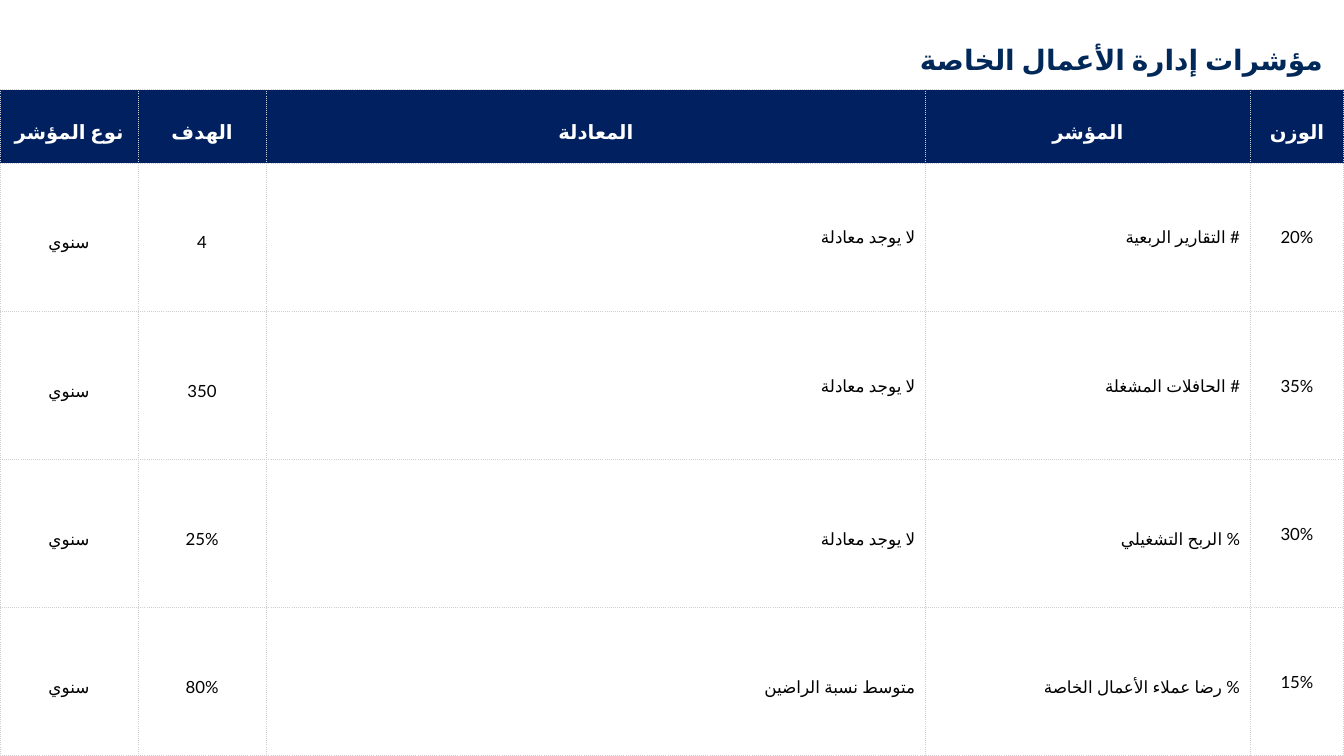
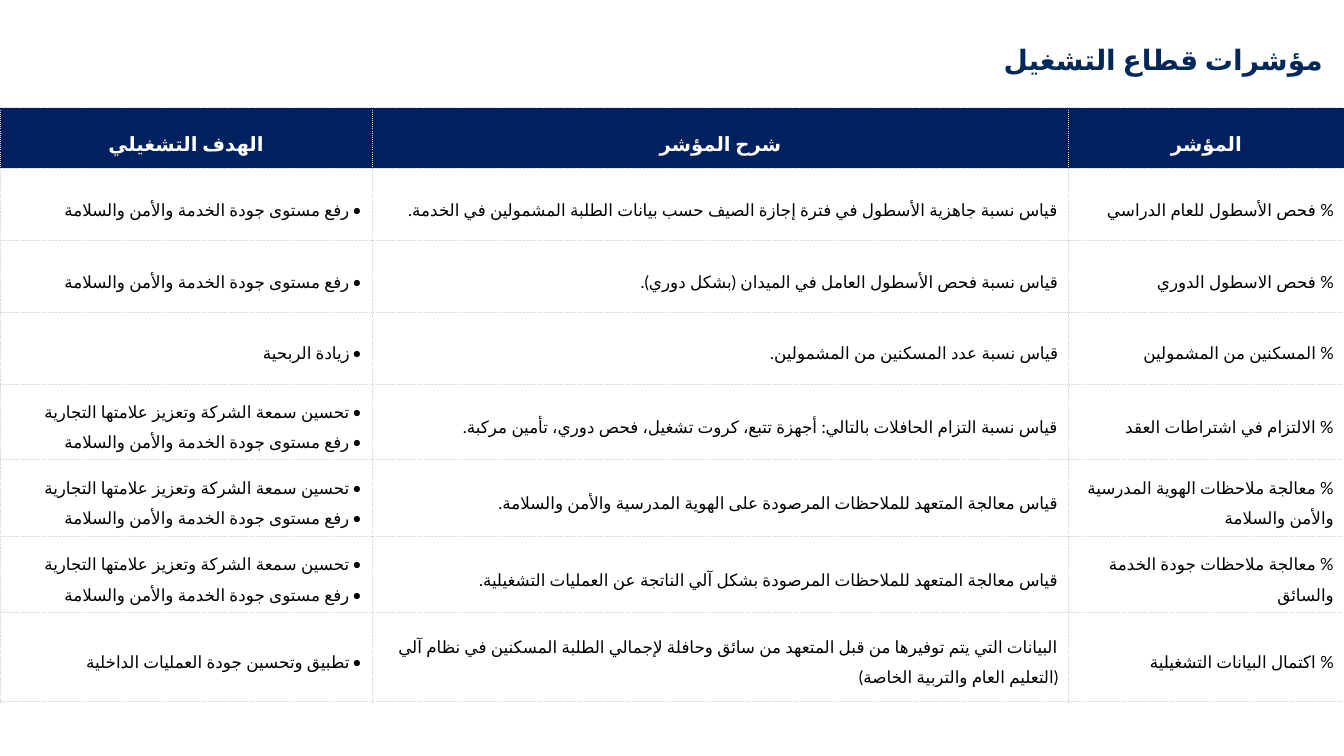
from lxml.etree import SubElement
from pptx import Presentation
from pptx.dml.color import RGBColor
from pptx.enum.lang import MSO_LANGUAGE_ID
from pptx.enum.text import MSO_ANCHOR, MSO_AUTO_SIZE, PP_ALIGN
from pptx.oxml.ns import qn
from pptx.util import Inches, Pt

COLORS = {
    "title": "002959",
    "header": "002060",
    "header_text": "FFFFFF",
    "text": "000000",
    "border": "D0CECE",
}
FONT = "Lato"
TITLE_BOX = (6.55, 0.23, 6.67, 0.56)
BULLET_INDENT = Inches(0.12)
CENTER, RIGHT, BULLET = "center", "right", "bullet"

SAFETY = "رفع مستوى جودة الخدمة والأمن والسلامة"
REPUTATION = "تحسين سمعة الشركة وتعزيز علامتها التجارية"
REPUTATION_AND_SAFETY = f"{REPUTATION}\n{SAFETY}"
ANNUAL = "سنوي"
NO_FORMULA = "لا يوجد معادلة"

BUSINESS = {
    "title": "مؤشرات إدارة الأعمال الخاصة",
    "top": 0.89,
    "widths": [1.37, 1.27, 6.54, 3.22, 0.93],
    "heights": [0.73] + [1.47] * 4,
    "styles": [CENTER, CENTER, RIGHT, RIGHT, CENTER],
    "tight": {(1, 2), (1, 3), (2, 2), (2, 3), (1, 4), (2, 4), (3, 4), (4, 4)},
    "rows": [
        ["نوع المؤشر", "الهدف", "المعادلة", "المؤشر", "الوزن"],
        [ANNUAL, "4", NO_FORMULA, "# التقارير الربعية", "20%"],
        [ANNUAL, "350", NO_FORMULA, "# الحافلات المشغلة", "35%"],
        [ANNUAL, "25%", NO_FORMULA, "% الربح التشغيلي", "30%"],
        [ANNUAL, "80%", "متوسط نسبة الراضين", "% رضا عملاء الأعمال الخاصة", "15%"],
    ],
}

OPERATIONS = {
    "title": "مؤشرات قطاع التشغيل",
    "top": 1.07,
    "widths": [3.69, 6.91, 2.73],
    "heights": [0.6, 0.72, 0.71, 0.71, 0.75, 0.76, 0.76, 0.88],
    "styles": [BULLET, RIGHT, RIGHT],
    "tight": set(),
    "rows": [
        ["الهدف التشغيلي", "شرح المؤشر", "المؤشر"],
        [SAFETY,
         "قياس نسبة جاهزية الأسطول في فترة إجازة الصيف حسب بيانات الطلبة المشمولين في الخدمة.",
         "% فحص الأسطول للعام الدراسي"],
        [SAFETY,
         "قياس نسبة فحص الأسطول العامل في الميدان (بشكل دوري).",
         "% فحص الاسطول الدوري"],
        ["زيادة الربحية",
         "قياس نسبة عدد المسكنين من المشمولين.",
         "% المسكنين من المشمولين"],
        [REPUTATION_AND_SAFETY,
         "قياس نسبة التزام الحافلات بالتالي: أجهزة تتبع، كروت تشغيل، فحص دوري، تأمين مركبة.",
         "% الالتزام في اشتراطات العقد"],
        [REPUTATION_AND_SAFETY,
         "قياس معالجة المتعهد للملاحظات المرصودة على الهوية المدرسية والأمن والسلامة.",
         "% معالجة ملاحظات الهوية المدرسية والأمن والسلامة"],
        [REPUTATION_AND_SAFETY,
         "قياس معالجة المتعهد للملاحظات المرصودة بشكل آلي الناتجة عن العمليات التشغيلية.",
         "% معالجة ملاحظات جودة الخدمة والسائق"],
        ["تطبيق وتحسين جودة العمليات الداخلية",
         "البيانات التي يتم توفيرها من قبل المتعهد من سائق وحافلة لإجمالي الطلبة المسكنين في نظام آلي (التعليم العام والتربية الخاصة)",
         "% اكتمال البيانات التشغيلية"],
    ],
}


def format_paragraph(paragraph, style, size, color, bold=False, spacing=1.5):
    paragraph.alignment = PP_ALIGN.CENTER if style == CENTER else PP_ALIGN.RIGHT
    paragraph.line_spacing = spacing
    properties = paragraph._p.get_or_add_pPr()
    if style != CENTER:
        properties.set("rtl", "1")
    if style == BULLET:
        properties.set("marL", str(BULLET_INDENT))
        properties.set("indent", str(-BULLET_INDENT))
        SubElement(properties, qn("a:buFont"), typeface=FONT)
        SubElement(properties, qn("a:buChar"), char="•")
    for run in paragraph.runs:
        run.font.size = Pt(size)
        run.font.bold = bold
        run.font.color.rgb = RGBColor.from_string(COLORS[color])
        run.font.language_id = MSO_LANGUAGE_ID.ARABIC
        run.font.name = FONT
        SubElement(run._r.get_or_add_rPr(), qn("a:cs"), typeface=FONT)


def add_title(slide, text, box):
    title = slide.shapes.title
    title.left, title.top, title.width, title.height = map(Inches, box)
    text_frame = title.text_frame
    text_frame.text = text
    text_frame.word_wrap = True
    text_frame.auto_size = MSO_AUTO_SIZE.SHAPE_TO_FIT_TEXT
    text_frame.vertical_anchor = MSO_ANCHOR.MIDDLE
    format_paragraph(text_frame.paragraphs[0], RIGHT, 20, "title", bold=True)


def add_borders(cell):
    properties = cell._tc.get_or_add_tcPr()
    for side in ("lnL", "lnR", "lnT", "lnB"):
        line = SubElement(properties, qn(f"a:{side}"), w=str(Pt(0.75)))
        fill = SubElement(line, qn("a:solidFill"))
        SubElement(fill, qn("a:srgbClr"), val=COLORS["border"])
        SubElement(line, qn("a:prstDash"), val="sysDot")


def format_cell(cell, text, style, is_header, is_tight):
    cell.text_frame.text = text
    cell.vertical_anchor = MSO_ANCHOR.MIDDLE
    add_borders(cell)
    if is_header:
        cell.fill.solid()
        cell.fill.fore_color.rgb = RGBColor.from_string(COLORS["header"])
    else:
        cell.fill.background()
    if is_tight:
        cell.margin_top = cell.margin_bottom = 0
    for paragraph in cell.text_frame.paragraphs:
        if is_header:
            format_paragraph(paragraph, CENTER, 14, "header_text", bold=True)
        else:
            format_paragraph(paragraph, style, 12, "text", spacing=1.0 if is_tight else 1.5)


def add_indicator_table(slide, content, left, top):
    rows, widths, heights = content["rows"], content["widths"], content["heights"]
    frame = slide.shapes.add_table(
        len(rows), len(widths), Inches(left), Inches(top),
        Inches(sum(widths)), Inches(sum(heights)))
    table = frame.table
    table.horz_banding = False
    for column, width in zip(table.columns, widths):
        column.width = Inches(width)
    for row, height in zip(table.rows, heights):
        row.height = Inches(height)
    for row_index, texts in enumerate(rows):
        for column_index, text in enumerate(texts):
            format_cell(
                table.cell(row_index, column_index), text,
                content["styles"][column_index], row_index == 0,
                (row_index, column_index) in content["tight"])


def add_indicator_slide(presentation, content):
    slide = presentation.slides.add_slide(presentation.slide_layouts[5])
    add_title(slide, content["title"], TITLE_BOX)
    add_indicator_table(slide, content, 0, content["top"])


def main():
    presentation = Presentation()
    presentation.slide_width = Inches(13.33)
    presentation.slide_height = Inches(7.5)
    for content in (BUSINESS, OPERATIONS):
        add_indicator_slide(presentation, content)
    presentation.save("out.pptx")


if __name__ == "__main__":
    main()
